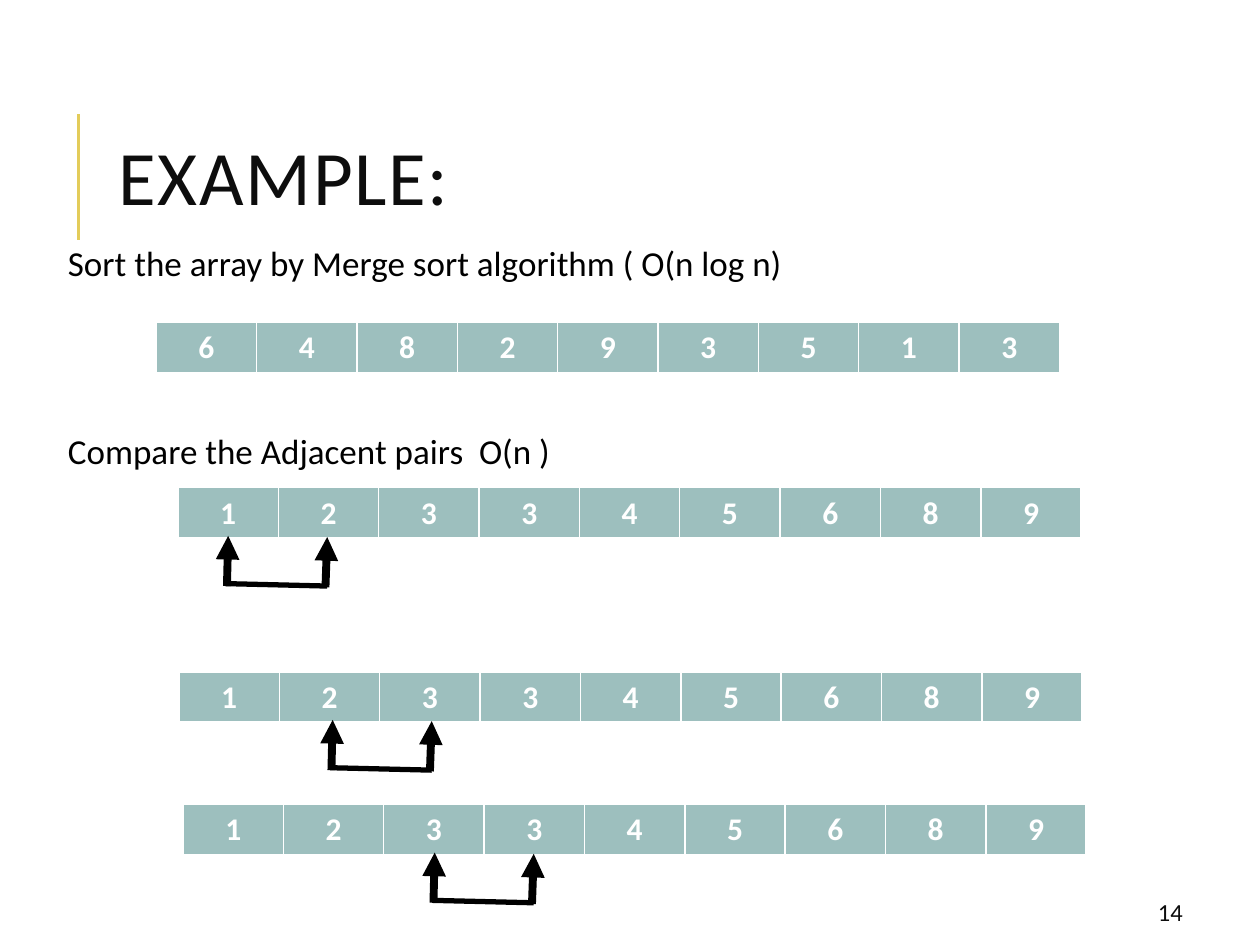
import pptx
import pptx.dml.color
import pptx.enum.dml
import pptx.enum.shapes
import pptx.enum.text
import pptx.oxml
import pptx.oxml.ns
import pptx.util

Pt = pptx.util.Pt
Align = pptx.enum.text.PP_ALIGN
Anchor = pptx.enum.text.MSO_ANCHOR


def color(value):
    return pptx.dml.color.RGBColor.from_string(value)


class SlideBuilder:
    font_name = "Calibri"
    black = "000000"
    ink = "0D0D0D"
    white = "FFFFFF"
    gold = "E3CC5A"
    teal = "9DBFBE"
    column_width = 57.36
    row_height = 29.5

    def __init__(self, slide):
        self.slide = slide

    def format_runs(self, paragraph, size, fill, bold=False):
        for run in paragraph.runs:
            run.font.name = self.font_name
            run.font.size = Pt(size)
            run.font.bold = bold
            run.font.color.rgb = color(fill)

    def title(self, text, left, top, width, height):
        shape = self.slide.shapes.title
        shape.left, shape.top = Pt(left), Pt(top)
        shape.width, shape.height = Pt(width), Pt(height)
        frame = shape.text_frame
        frame.text = text
        frame.auto_size = pptx.enum.text.MSO_AUTO_SIZE.NONE
        frame.vertical_anchor = Anchor.MIDDLE
        paragraph = frame.paragraphs[0]
        paragraph.alignment = Align.LEFT
        paragraph.line_spacing = 0.8
        self.format_runs(paragraph, 44, self.ink)
        paragraph.runs[0].font._element.set("spc", "100")

    def text_box(self, left, top, width, height):
        shape = self.slide.shapes.add_textbox(Pt(left), Pt(top), Pt(width), Pt(height))
        frame = shape.text_frame
        frame.word_wrap = True
        frame.margin_left = frame.margin_right = Pt(3.6)
        frame.margin_top = frame.margin_bottom = Pt(3.6)
        return frame

    def statements(self, texts, left, top, width, height, gap):
        frame = self.text_box(left, top, width, height)
        frame.text = "\n".join(texts)
        for index, paragraph in enumerate(frame.paragraphs):
            paragraph._p.get_or_add_pPr().set("marL", str(Pt(7.2)))
            paragraph.line_spacing = 0.9
            paragraph.space_after = Pt(2)
            if index:
                paragraph.space_before = Pt(gap)
            self.format_runs(paragraph, 20, self.black)

    def page_number(self, text, left, top, width, height):
        frame = self.text_box(left, top, width, height)
        frame.vertical_anchor = Anchor.MIDDLE
        frame.text = text
        frame.paragraphs[0].alignment = Align.CENTER
        self.format_runs(frame.paragraphs[0], 14, self.ink)

    def cell_borders(self, cell):
        properties = cell._tc.get_or_add_tcPr()
        for side, width in (("L", 1), ("R", 1), ("T", 1), ("B", 3)):
            properties.append(pptx.oxml.parse_xml(
                f'<a:ln{side} {pptx.oxml.ns.nsdecls("a")} w="{Pt(width)}"><a:solidFill>'
                f'<a:srgbClr val="{self.white}"/></a:solidFill></a:ln{side}>'))

    def array(self, values, left, top):
        table = self.slide.shapes.add_table(
            1, len(values), Pt(left), Pt(top),
            Pt(self.column_width * len(values)), Pt(self.row_height)).table
        table.first_row = table.horz_banding = False
        for column, cell, value in zip(table.columns, table.rows[0].cells, values):
            column.width = Pt(self.column_width)
            self.cell_borders(cell)
            cell.fill.solid()
            cell.fill.fore_color.rgb = color(self.teal)
            cell.text_frame.text = str(value)
            paragraph = cell.text_frame.paragraphs[0]
            paragraph.alignment = Align.CENTER
            self.format_runs(paragraph, 18, self.white, bold=True)

    def line(self, start, end, fill, width, arrow=False, shapes=None):
        target = self.slide.shapes if shapes is None else shapes
        connector = target.add_connector(
            pptx.enum.shapes.MSO_CONNECTOR.STRAIGHT,
            *(Pt(value) for value in (*start, *end)))
        connector.line.color.rgb = color(fill)
        connector.line.width = Pt(width)
        namespace = pptx.oxml.ns.nsdecls("a")
        if arrow:
            connector.line._get_or_add_ln().append(
                pptx.oxml.parse_xml(f'<a:tailEnd {namespace} type="triangle"/>'))
        connector._element.spPr.append(pptx.oxml.parse_xml(f"<a:effectLst {namespace}/>"))

    def pair_bracket(self, left, top):
        shapes = self.slide.shapes.add_group_shape().shapes
        for start, end, width, arrow in (
            ((0.7, 28.7), (1.4, 0), 4.5, True),
            ((57, 29.4), (58, 0.7), 4.5, True),
            ((0, 27.3), (58, 28.7), 3, False),
        ):
            self.line((left + start[0], top + start[1]), (left + end[0], top + end[1]),
                      self.black, width, arrow, shapes)


def main():
    presentation = pptx.Presentation()
    presentation.slide_width = Pt(720)
    presentation.slide_height = Pt(540)
    slide = presentation.slides.add_slide(presentation.slide_layouts[5])
    builder = SlideBuilder(slide)

    builder.line((45, 137), (45, 65), builder.gold, 1.5)
    builder.statements(
        ["Sort the array by Merge sort algorithm ( O(n log n)",
         "Compare the Adjacent pairs  O(n )"],
        28, 137, 574, 284, gap=84)
    builder.title("EXAMPLE:", 60.5, 46, 574, 118)
    builder.page_number("14", 640, 510, 57.6, 21.6)

    numbers = [6, 4, 8, 2, 9, 3, 5, 1, 3]
    builder.array(numbers, 89.3, 184.3)
    for array_left, array_top, bracket_left in (
        (101.7, 278.7, 129),
        (102.3, 383.9, 188.7),
        (104.6, 459.7, 247),
    ):
        builder.array(sorted(numbers), array_left, array_top)
        builder.pair_bracket(bracket_left, array_top + 27.5)

    presentation.save("out.pptx")


if __name__ == "__main__":
    main()
